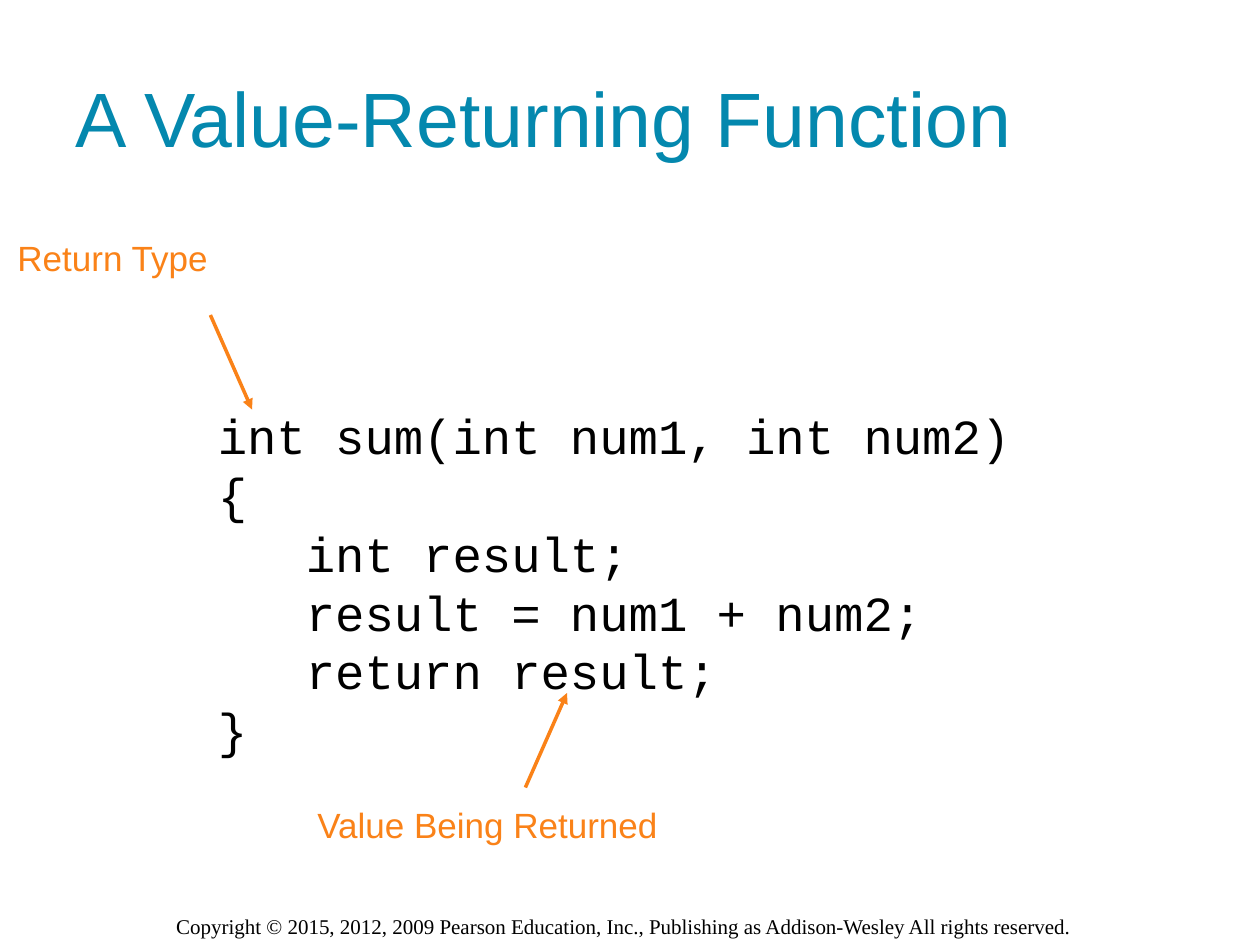
import pptx
import pptx.dml.color
import pptx.enum.shapes
import pptx.enum.text
import pptx.oxml
import pptx.oxml.ns
import pptx.util
from pptx.util import Inches

COLORS = {"title": "0488AE", "callout": "FA8218", "text": "000000"}
FORMATS = {
    "title": {"name": "Arial", "size": pptx.util.Pt(44)},
    "callout": {"name": "Arial", "size": pptx.util.Pt(20)},
    "code": {"name": "Courier New", "size": pptx.util.Pt(28)},
    "copyright": {"name": "Times New Roman", "size": pptx.util.Pt(12)},
}
FUNCTION_CODE = """int sum(int num1, int num2)
{
   int result;
   result = num1 + num2;
   return result;
}"""


class SlideBuilder:
    """Hold the style and the current slide, and add each kind of element."""

    def __init__(self, presentation):
        self.slide = presentation.slides.add_slide(presentation.slide_layouts[5])

    def color(self, role):
        return pptx.dml.color.RGBColor.from_string(COLORS.get(role, COLORS["text"]))

    def fill_text(self, shape, words, role, anchor):
        frame = shape.text_frame
        frame.word_wrap = True
        frame.auto_size = pptx.enum.text.MSO_AUTO_SIZE.NONE
        frame.vertical_anchor = anchor
        paragraph = frame.paragraphs[0]
        paragraph.text = words.replace("\n", "\v")
        paragraph.alignment = pptx.enum.text.PP_ALIGN.LEFT
        for run in paragraph.runs:
            for attribute, value in FORMATS[role].items():
                setattr(run.font, attribute, value)
            run.font.color.rgb = self.color(role)

    def title(self, words, left, top, width, height):
        heading = self.slide.shapes.title
        place = {"left": left, "top": top, "width": width, "height": height}
        for attribute, value in place.items():
            setattr(heading, attribute, Inches(value))
        self.fill_text(heading, words, "title", pptx.enum.text.MSO_ANCHOR.MIDDLE)

    def text(self, words, role, left, top, width, height):
        box = self.slide.shapes.add_textbox(*map(Inches, (left, top, width, height)))
        self.fill_text(box, words, role, pptx.enum.text.MSO_ANCHOR.TOP)

    def arrow(self, start, end):
        pointer = self.slide.shapes.add_connector(
            pptx.enum.shapes.MSO_CONNECTOR.STRAIGHT, *map(Inches, start + end)
        )
        pointer.line.color.rgb = self.color("callout")
        pointer.line.width = pptx.util.Pt(2)
        namespace = pptx.oxml.ns.nsdecls("a")
        properties = pointer._element.spPr
        properties.ln.append(
            pptx.oxml.parse_xml(f'<a:tailEnd {namespace} type="triangle"/>')
        )
        properties.append(pptx.oxml.parse_xml(f"<a:effectLst {namespace}/>"))


def main():
    presentation = pptx.Presentation()
    presentation.slide_width = Inches(10)
    presentation.slide_height = Inches(7.5)

    builder = SlideBuilder(presentation)
    builder.title("A Value-Returning Function", 0.5, 0.3, 9, 1.25)
    builder.text(FUNCTION_CODE, "code", 1.63, 3.17, 6.79, 2.9)
    builder.text("Return Type", "callout", 0.04, 1.83, 2.48, 0.44)
    builder.arrow((1.67, 2.5), (2, 3.25))
    builder.text("Value Being Returned", "callout", 2.42, 6.33, 3.08, 0.44)
    builder.arrow((4.17, 6.25), (4.5, 5.5))
    builder.text(
        "Copyright © 2015, 2012, 2009 Pearson Education, Inc., "
        "Publishing as Addison-Wesley All rights reserved.",
        "copyright", 1.3, 7.2, 7.42, 0.3,
    )
    presentation.save("out.pptx")


if __name__ == "__main__":
    main()
